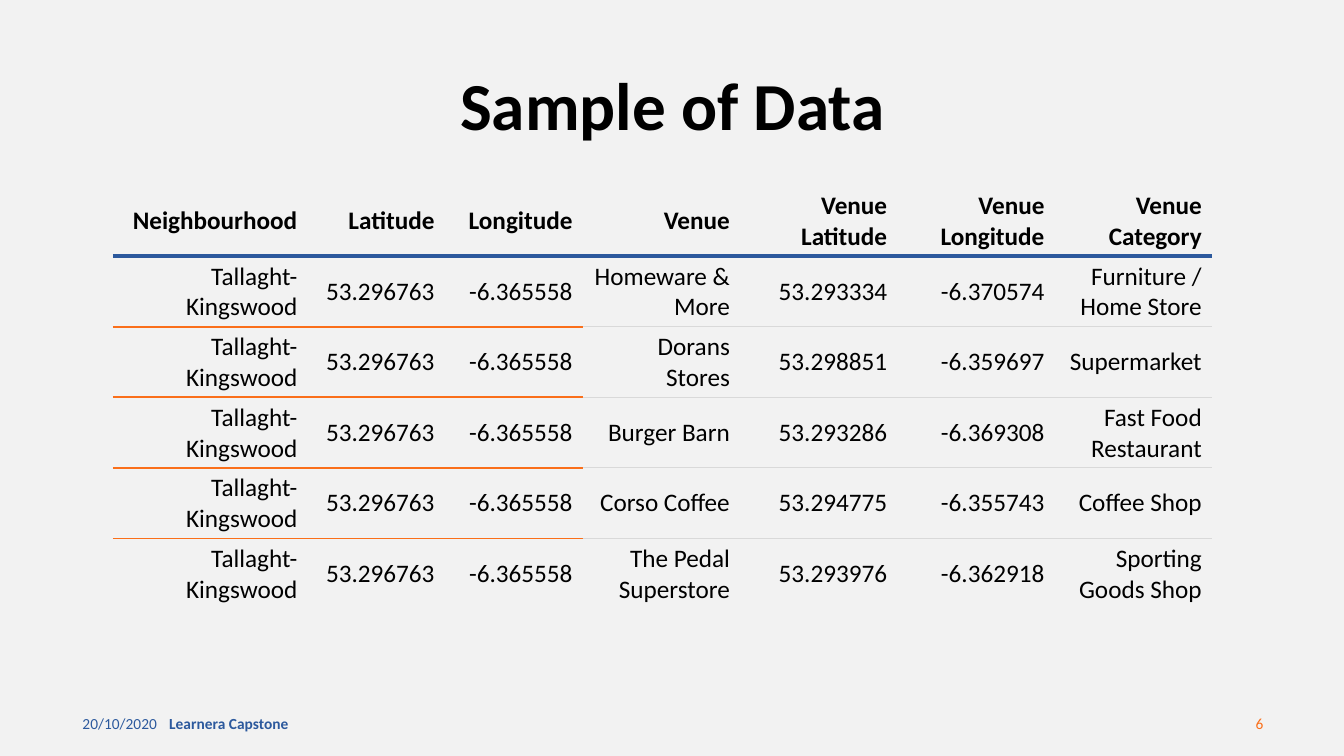
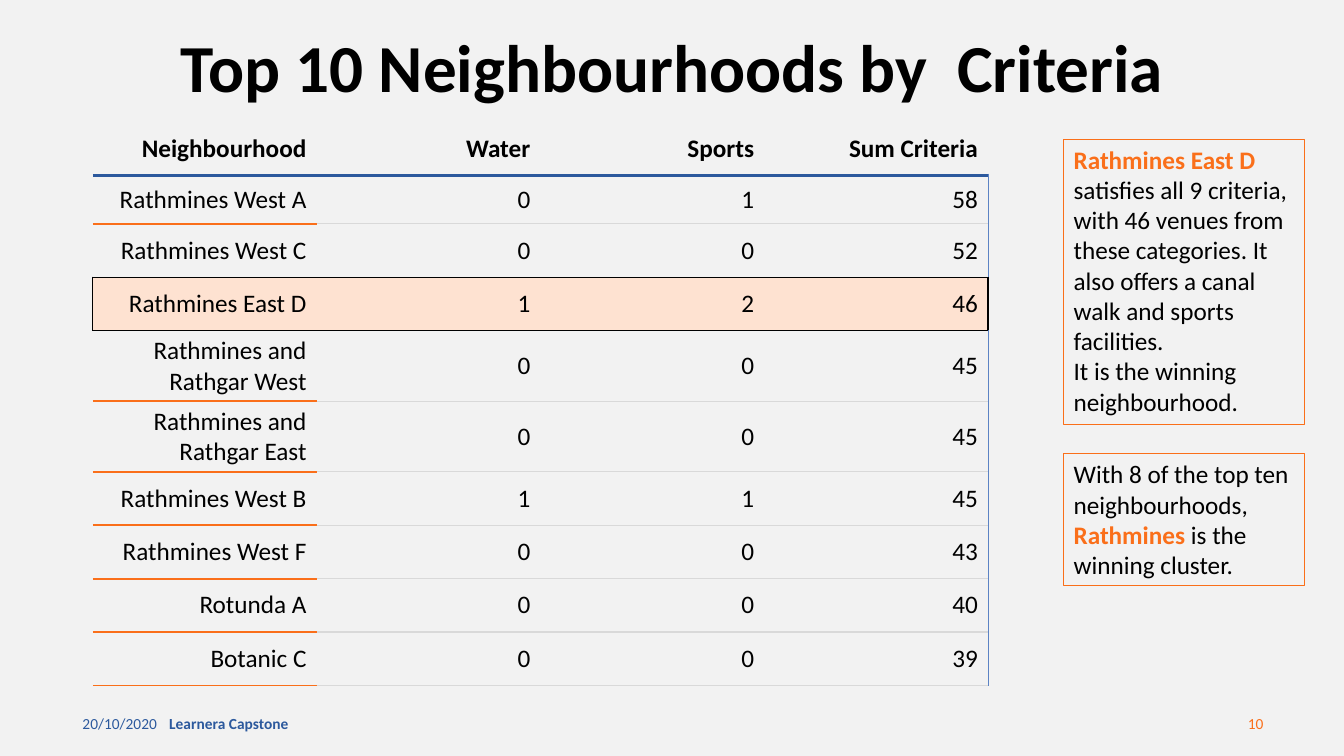
import pptx
import pptx.dml.color
import pptx.enum.text
import pptx.oxml.ns
import pptx.util
from lxml import etree

Inches, Pt = pptx.util.Inches, pptx.util.Pt
PP_ALIGN = pptx.enum.text.PP_ALIGN
MIDDLE = pptx.enum.text.MSO_ANCHOR.MIDDLE
AUTO_SIZE = pptx.enum.text.MSO_AUTO_SIZE
qn = pptx.oxml.ns.qn

FONT = "Calibri"
PAPER, BLACK, GREY = "F2F2F2", "000000", "D9D9D9"
BLUE, PALE_BLUE = "2C599D", "5C83C4"
ORANGE, PEACH = "FA6F1A", "FEE2D1"
NO_GRID_STYLE = "{2D5ABB26-0587-4C30-8999-92F81FD0307C}"

VENUE_HEADER = ["Neighbourhood", "Latitude", "Longitude", "Venue",
                "Venue Latitude", "Venue Longitude", "Venue Category"]
HOME_AREA = ["Tallaght-Kingswood", "53.296763", "-6.365558"]
VENUES = [
    ["Homeware & More", "53.293334", "-6.370574", "Furniture / Home Store"],
    ["Dorans Stores", "53.298851", "-6.359697", "Supermarket"],
    ["Burger Barn", "53.293286", "-6.369308", "Fast Food Restaurant"],
    ["Corso Coffee", "53.294775", "-6.355743", "Coffee Shop"],
    ["The Pedal Superstore", "53.293976", "-6.362918", "Sporting Goods Shop"],
]
CRITERIA = [
    ["Neighbourhood", "Water", "Sports", "Sum Criteria"],
    ["Rathmines West A", "0", "1", "58"],
    ["Rathmines West C", "0", "0", "52"],
    ["Rathmines East D", "1", "2", "46"],
    ["Rathmines and Rathgar West", "0", "0", "45"],
    ["Rathmines and Rathgar East", "0", "0", "45"],
    ["Rathmines West B", "1", "1", "45"],
    ["Rathmines West F", "0", "0", "43"],
    ["Rotunda A", "0", "0", "40"],
    ["Botanic C", "0", "0", "39"],
]
CRITERIA_HEIGHTS = [0.53, 0.48, 0.53, 0.53, 0.59, 0.59, 0.53, 0.53, 0.53, 0.53]
WINNER_ROW = 3


def rgb(color):
    return pptx.dml.color.RGBColor.from_string(color)


def style(font, size, color, bold=False):
    font.name = FONT
    font.size = Pt(size)
    font.bold = bold
    font.color.rgb = rgb(color)


def add_text(slide, left, top, width, height):
    box = slide.shapes.add_textbox(Inches(left), Inches(top), Inches(width), Inches(height))
    box.text_frame.word_wrap = True
    return box


def add_footer_part(slide, text, left, width, color, bold=False, align=PP_ALIGN.LEFT):
    frame = add_text(slide, left, 6.98, width, 0.4).text_frame
    frame.vertical_anchor = MIDDLE
    line = frame.paragraphs[0]
    line.text = text
    line.alignment = align
    style(line.font, 11, color, bold)


def add_slide(deck, title, title_top, number):
    slide = deck.slides.add_slide(deck.slide_layouts[5])
    heading = slide.shapes.title
    heading.left, heading.top = Inches(0.92), Inches(title_top)
    heading.width, heading.height = Inches(11.5), Inches(0.77)
    heading.text_frame.text = title
    heading.text_frame.vertical_anchor = MIDDLE
    heading.text_frame.auto_size = AUTO_SIZE.NONE
    line = heading.text_frame.paragraphs[0]
    line.alignment = PP_ALIGN.CENTER
    line.line_spacing = 0.9
    style(line.font, 48, BLACK, True)
    add_footer_part(slide, "20/10/2020", 0.72, 3, BLUE)
    add_footer_part(slide, "Learnera Capstone", 1.58, 4.5, BLUE, bold=True)
    add_footer_part(slide, str(number), 9.63, 3, ORANGE, align=PP_ALIGN.RIGHT)
    return slide


def set_border(cell, side, border):
    if border is None:
        return
    color, width = border
    line = etree.SubElement(cell._tc.get_or_add_tcPr(), qn("a:ln" + side), w=str(Pt(width)))
    fill = etree.SubElement(line, qn("a:solidFill"))
    etree.SubElement(fill, qn("a:srgbClr"), val=color)


def add_data_table(slide, left, top, widths, heights, rows, key_columns,
                   winner=None, closed=False):
    last_row, last_col = len(rows) - 1, len(widths) - 1
    table = slide.shapes.add_table(
        len(rows), len(widths), Inches(left), Inches(top),
        Inches(sum(widths)), Inches(sum(heights))).table
    table._tbl.tblPr.find(qn("a:tableStyleId")).text = NO_GRID_STYLE
    table.horz_banding = False
    for column, width in zip(table.columns, widths):
        column.width = Inches(width)
    for row, height in zip(table.rows, heights):
        row.height = Inches(height)

    def rule_below(r, c):
        if r < 0 or (r == last_row and not closed):
            return None
        if r == 0:
            return BLUE, 3
        if winner in (r, r + 1):
            return BLACK, 1
        return (ORANGE, 1.5) if c < key_columns else (GREY, 1)

    def side_rule(r, c, edge):
        if c != edge or r == 0 or not closed:
            return None
        if r == winner:
            return BLACK, 1
        return (PALE_BLUE, 0.5) if edge == last_col else None

    for r, values in enumerate(rows):
        for c, value in enumerate(values):
            cell = table.cell(r, c)
            cell.vertical_anchor = MIDDLE
            line = cell.text_frame.paragraphs[0]
            line.text = value
            line.alignment = PP_ALIGN.RIGHT
            style(line.font, 18, BLACK, r == 0)
            set_border(cell, "L", side_rule(r, c, 0))
            set_border(cell, "R", side_rule(r, c, last_col))
            set_border(cell, "T", rule_below(r - 1, c))
            set_border(cell, "B", rule_below(r, c))
            if r == winner:
                cell.fill.solid()
                cell.fill.fore_color.rgb = rgb(PEACH)
            else:
                cell.fill.background()


def add_note(slide, top, height, paragraphs):
    note = add_text(slide, 10.55, top, 2.39, height)
    note.line.color.rgb = rgb(ORANGE)
    note.line.width = Pt(0.75)
    frame = note.text_frame
    frame.auto_size = AUTO_SIZE.SHAPE_TO_FIT_TEXT
    for index, parts in enumerate(paragraphs):
        line = frame.add_paragraph() if index else frame.paragraphs[0]
        for text, emphasis in parts:
            run = line.add_run()
            run.text = text
            style(run.font, 18, ORANGE if emphasis else BLACK, emphasis)


def main():
    deck = pptx.Presentation()
    deck.slide_width, deck.slide_height = Inches(13.33), Inches(7.5)
    background = deck.slide_master.background.fill
    background.solid()
    background.fore_color.rgb = rgb(PAPER)

    sample = add_slide(deck, "Sample of Data", 0.69, 6)
    add_data_table(sample, 1.12, 1.84, [1.93, 1.36, 1.37] + [1.56] * 4, [0.62] * 6,
                   [VENUE_HEADER] + [HOME_AREA + venue for venue in VENUES],
                   key_columns=3)

    ranking = add_slide(deck, "Top 10 Neighbourhoods by  Criteria", 0.32, 10)
    add_data_table(ranking, 0.92, 1.21, [2.22] * 4, CRITERIA_HEIGHTS, CRITERIA,
                   key_columns=1, winner=WINNER_ROW, closed=True)
    add_note(ranking, 1.38, 2.83, [
        [("Rathmines East D ", True),
         ("satisfies all 9 criteria, with 46 venues from these categories. "
          "It also offers a canal walk and sports facilities.", False)],
        [("It is the winning neighbourhood.", False)],
    ])
    add_note(ranking, 4.5, 1.31, [
        [("With 8 of the top ten neighbourhoods, ", False),
         ("Rathmines", True),
         (" is the winning cluster.", False)],
    ])
    deck.save("out.pptx")


if __name__ == "__main__":
    main()
